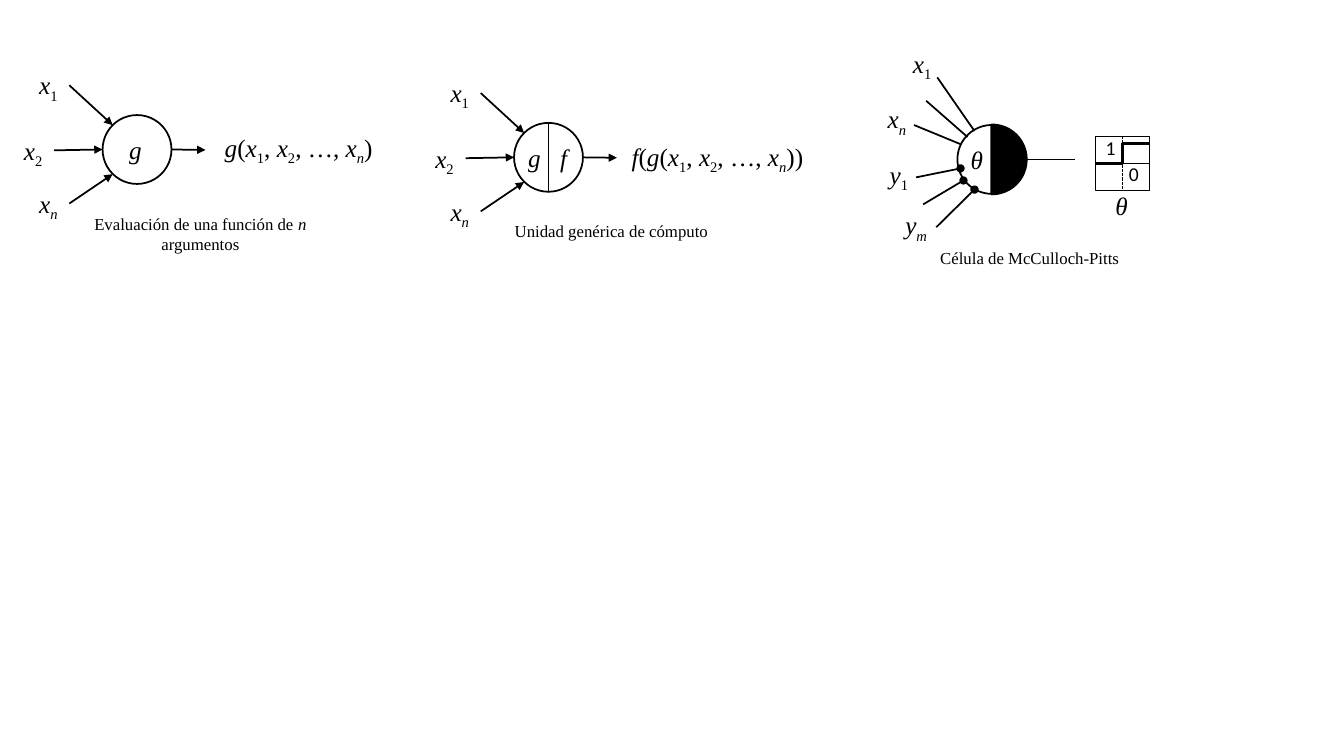
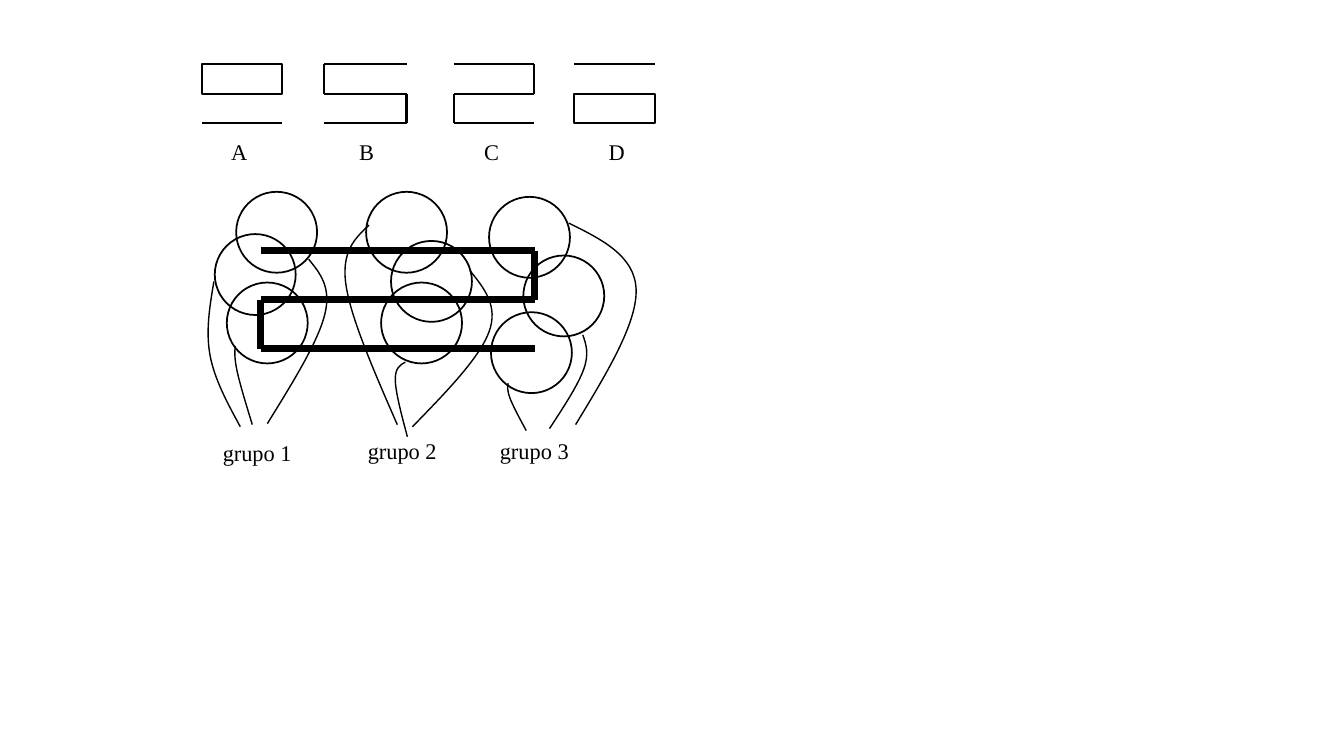
from lxml import etree
from pptx import Presentation
from pptx.dml.color import RGBColor
from pptx.enum.dml import MSO_LINE
from pptx.enum.shapes import MSO_CONNECTOR as CONN, MSO_SHAPE as SHAPE
from pptx.enum.text import MSO_ANCHOR as ANCHOR, PP_ALIGN as ALIGN
from pptx.oxml.ns import qn
from pptx.util import Pt

COLORS = {"ink": "000000"}
SERIF, SANS = "Times New Roman", "Calibri"
THIN, NORMAL, GLYPH, STEP, THICK = 0.75, 1.25, 1.5, 2.25, 5
CELL = 49.2     # diameter of a computing cell
FIELD = 57.8    # diameter of a receptive field


def ink():
    return RGBColor.from_string(COLORS["ink"])


def var(name, sub):
    """Runs of a variable with its subscript; letters are set in italics."""
    return [(name, "i"), (sub, "is" if sub.isalpha() else "s")]


X1, X2, XN = var("x", "1"), var("x", "2"), var("x", "n")
ARGS = [("(", ""), *X1, (", ", ""), *X2, (", …, ", ""), *XN, (")", "")]


def add_runs(p, runs, size=18, font=SERIF):
    """Add (text, style) runs; style i is italic and s is subscript."""
    for text, style in runs:
        r = p.add_run()
        r.text = text
        r.font.name, r.font.size = font, Pt(size)
        r.font.color.rgb = ink()
        r.font.italic = "i" in style
        if "s" in style:
            r.font._element.set("baseline", "-25000")


class Figure:
    """A group of parts, all placed in points from the origin (x, y)."""

    def __init__(self, slide, x, y):
        self.shapes = slide.shapes.add_group_shape().shapes
        self.x, self.y = x, y

    def at(self, x, y):
        return Pt(self.x + x), Pt(self.y + y)

    def outline(self, s, weight):
        s.line.color.rgb = ink()
        s.line.width = Pt(weight)

    def shape(self, kind, x, y, w, h, weight=NORMAL, filled=False):
        s = self.shapes.add_shape(kind, *self.at(x, y), Pt(w), Pt(h))
        s.shadow.inherit = False
        if filled:
            s.fill.solid()
            s.fill.fore_color.rgb = ink()
        else:
            s.fill.background()
        self.outline(s, weight)
        return s

    def circle(self, x, y, d):
        return self.shape(SHAPE.OVAL, x, y, d, d)

    def line(self, start, end, weight=NORMAL, head=None, dash=None,
             kind=CONN.STRAIGHT):
        c = self.shapes.add_connector(kind, *self.at(*start), *self.at(*end))
        self.outline(c, weight)
        if dash:
            c.line.dash_style = dash
        sp_pr = c._element.spPr
        if head:
            ln = sp_pr.find(qn("a:ln"))
            etree.SubElement(ln, qn("a:tailEnd"), type=head)
        etree.SubElement(sp_pr, qn("a:effectLst"))
        return c

    def label(self, x, y, w, h, *lines, anchor=ANCHOR.TOP, **style):
        """Centred text; each line is a list of runs."""
        s = self.shapes.add_textbox(*self.at(x, y), Pt(w), Pt(h))
        tf = s.text_frame
        tf.word_wrap = False
        tf.margin_left = tf.margin_right = 0
        tf.vertical_anchor = anchor
        for i, runs in enumerate(lines):
            p = tf.add_paragraph() if i else tf.paragraphs[0]
            p.alignment = ALIGN.CENTER
            add_runs(p, runs, **style)

    def curve(self, p0, p1, p2):
        """Smooth open curve through three points."""
        slope = [(b - a) / 6 for a, b in zip(p0, p2)]
        before = [m - d for m, d in zip(p1, slope)]
        after = [m + d for m, d in zip(p1, slope)]

        def middle(a, b):
            return [(u + v) / 2 for u, v in zip(a, b)]

        points = [middle(p0, before), before, p1,
                  after, middle(after, p2), p2]
        builder = self.shapes.build_freeform(*self.at(*p0))
        builder.add_line_segments([self.at(*pt) for pt in points],
                                  close=False)
        s = builder.convert_to_shape()
        route = s._element.find(".//" + qn("a:path"))
        segments = route.findall(qn("a:lnTo"))
        for i in range(0, len(segments), 3):
            bezier = etree.SubElement(route, qn("a:cubicBezTo"))
            for segment in segments[i:i + 3]:
                bezier.append(segment[0])
                route.remove(segment)
        s.shadow.inherit = False
        s.fill.background()
        self.outline(s, 1)


def cell_text(cell, text, inset):
    """Write into a cell from the inset on; a tab leads to its right half."""
    tf = cell.text_frame
    tf.word_wrap = False
    tf.margin_left = Pt(inset)
    tf.margin_right = tf.margin_top = tf.margin_bottom = 0
    tf.vertical_anchor = ANCHOR.MIDDLE
    p = tf.paragraphs[0]
    p.alignment = ALIGN.LEFT
    if "\t" in text:
        tf.word_wrap = True
        tabs = etree.SubElement(p._p.get_or_add_pPr(), qn("a:tabLst"))
        etree.SubElement(tabs, qn("a:tab"), pos=str(Pt(23)), algn="l")
    else:
        tf.word_wrap = True
    add_runs(p, [(text, "i")])


def computing_unit(slide, x, y, text, inset, result, result_box, caption,
                   caption_box, split=False):
    """Cell with three inputs and one output."""
    f = Figure(slide, x, y)
    cell_text(f.circle(0, 0, CELL), text, inset)
    mid = CELL / 2
    if split:
        f.line((mid, 0), (mid, CELL))
    inputs = [(X1, (-52.5, -36), (-23.8, -21.3), (7.2, 7.2)),
              (X2, (-63.4, 10.8), (-34.6, 25.2), (0, mid)),
              (XN, (-52.5, 48.8), (-23.8, 63.2), (7.2, 42.2))]
    for name, corner, start, end in inputs:
        f.label(*corner, 27.4, 28.8, name)
        f.line(start, end, head="triangle")
    f.line((CELL, mid), (73.5, 24.9), head="triangle")
    f.label(*result_box, result, anchor=ANCHOR.MIDDLE)
    f.label(*caption_box, *caption, size=12)


def threshold_plot(slide, x, y):
    side = 38.8
    f = Figure(slide, x, y)
    f.label(16.6, 15.1, 21.6, 24.5, [("0", "")], size=14, font=SANS)
    f.label(0, -3.6, 21.6, 24.5, [("1", "")], size=14, font=SANS)
    box = f.shape(SHAPE.RECTANGLE, 0, 0, side, side, THIN)
    mid = side / 2
    axes = [((mid, 0), (mid, side), 0, 2, MSO_LINE.SQUARE_DOT),
            ((0, mid), (side, mid), 1, 3, None)]
    for start, end, first, last, dash in axes:
        c = f.line(start, end, THIN, dash=dash)
        c.begin_connect(box, first)
        c.end_connect(box, last)
    f.line((0, mid), (side, 5), STEP, kind=CONN.ELBOW)
    f.label(6.5, 24.5, 24.5, CELL, [("θ", "i")], anchor=ANCHOR.MIDDLE)


def mcculloch_cell(slide, x, y):
    f = Figure(slide, x, y)
    mid = CELL / 2
    half = f.shape(SHAPE.CHORD, 0, 0, CELL, CELL, 2, filled=True)
    half.adjustments[0], half.adjustments[1] = 162, 54
    f.circle(0, 0, CELL)
    f.line((mid, 0), (mid, CELL))
    f.label(1.6, 0, mid, CELL, [("θ", "i")], anchor=ANCHOR.MIDDLE)
    names = [(X1, -38.9, -58.3), (XN, -56.9, -18.9),
             (var("y", "1"), -55.6, 20.9), (var("y", "m"), -43.2, 56.9)]
    for name, left, top in names:
        f.label(left, top, 27.4, 28.8, name)
    exciting = [((-14.4, -34), (12.2, 4.3)), ((-22.3, -17.3), (7.2, 8.6)),
                ((-31, 0), (2.2, 13.7))]
    inhibiting = [((-29.5, 37.4), (2.2, 31)), ((-24.5, 56.7), (4.3, 39.6)),
                  ((-15.1, 73), (12.2, 46.1))]
    for head, ends in ((None, exciting), ("oval", inhibiting)):
        for start, end in ends:
            f.line(start, end, head=head)
    f.line((CELL, mid), (84.2, mid))
    f.label(-21.8, 84.2, 147, 21.6, [("Célula de McCulloch-Pitts", "")],
            size=12)
    threshold_plot(slide, x + 98.6, y + 8)


def bar_glyph(slide, x, y, w, letter, label_x, box_row=None, sides=()):
    """Three bars, joined by a box in one row or by a side in each row."""
    row_h = 21
    f = Figure(slide, x, y)
    bars = {None: (0, 1, 2), 0: (2,), 1: (0,)}[box_row]
    for row in bars:
        f.line((0, row * row_h), (w, row * row_h), GLYPH)
    if box_row is not None:
        f.shape(SHAPE.RECTANGLE, 0, box_row * row_h, w, row_h, GLYPH)
    for row, side in enumerate(sides):
        f.line((side * w, row * row_h), (side * w, (row + 1) * row_h), GLYPH)
    f.label(label_x, 49, 26, 26.6, [(letter, "")], size=16)


def stimulus(slide, x, y):
    """Thick figure with three bars, seen by the receptive fields."""
    w, row_h = 195.8, 35
    f = Figure(slide, x, y)
    for row in range(3):
        f.line((0, row * row_h), (w, row * row_h), THICK)
    for row, side in enumerate((w, 0)):
        f.line((side, row * row_h), (side, (row + 1) * row_h), THICK)


def field_group(slide, x, y, name, label_y, fields, links):
    f = Figure(slide, x, y)
    for corner in fields:
        f.circle(*corner, FIELD)
    for link in links:
        f.curve(*link)
    f.label(0, label_y, 64.6, 26.6, [(name, "")], size=16)


def cells_slide(prs):
    slide = prs.slides.add_slide(prs.slide_layouts[6])
    computing_unit(slide, 73.3, 82.2, "g", 11.8, [("g", "i"), *ARGS],
                   (73.5, 7.2, 133, 35),
                   [[("Evaluación de una función de ", ""), ("n", "i")],
                    [("argumentos", "")]], (-14.4, 67, 168.5, 36))
    computing_unit(slide, 367.2, 87.8, "g\tf", 2.8,
                   [("f", "i"), ("(", ""), ("g", "i"), *ARGS, (")", "")],
                   (73.7, 8, 143, 35),
                   [[("Unidad genérica de cómputo", "")]],
                   (-7.9, 66.4, 155, 21.6), split=True)
    mcculloch_cell(slide, 683.9, 89.3)


def fields_slide(prs):
    slide = prs.slides.add_slide(prs.slide_layouts[6])
    glyphs = [(144, 57.4, "A", 13.9, 0, ()),
              (231.4, 59, "B", 17.5, None, (0, 1)),
              (324, 57.6, "C", 14.2, None, (1, 0)),
              (410, 57.8, "D", 17.5, 1, ())]
    for x, *glyph in glyphs:
        bar_glyph(slide, x, 46, *glyph)
    stimulus(slide, 186.2, 179)
    groups = [
        (151.4, 172.9, [(17.3, 0), (2, 30.2), (10.6, 64.8)],
         [((20.2, 167.8), (-1.4, 116.6), (1.4, 64.1)),
          ((28.8, 166.3), (18, 128.2), (16.6, 110.2)),
          ((39.6, 165.6), (80.6, 87.8), (69.1, 48.2))]),
        (255, 171.6, [(6.5, 0), (24.3, 35.1), (17.2, 64.8)],
         [((28.8, 166.3), (-7.9, 66.2), (8.6, 23.8)),
          ((36, 175), (27.4, 134.6), (34.6, 121.7)),
          ((39.6, 167.8), (94.3, 100.1), (80.6, 56.2))]),
        (349.3, 171.6, [(0, 3.6), (24.5, 45.5), (1.4, 86)],
         [((26.6, 170.6), (15.1, 147.6), (13.7, 136.8)),
          ((43.2, 169.2), (67.7, 126.7), (67, 102.2)),
          ((61.9, 166.3), (105.1, 69.8), (56.9, 22.3))]),
    ]
    for i, (x, *parts) in enumerate(groups, 1):
        field_group(slide, x, 137, f"grupo {i}", *parts)


def main():
    prs = Presentation()
    prs.slide_width, prs.slide_height = Pt(960), Pt(540)
    cells_slide(prs)
    fields_slide(prs)
    prs.save("out.pptx")


if __name__ == "__main__":
    main()
